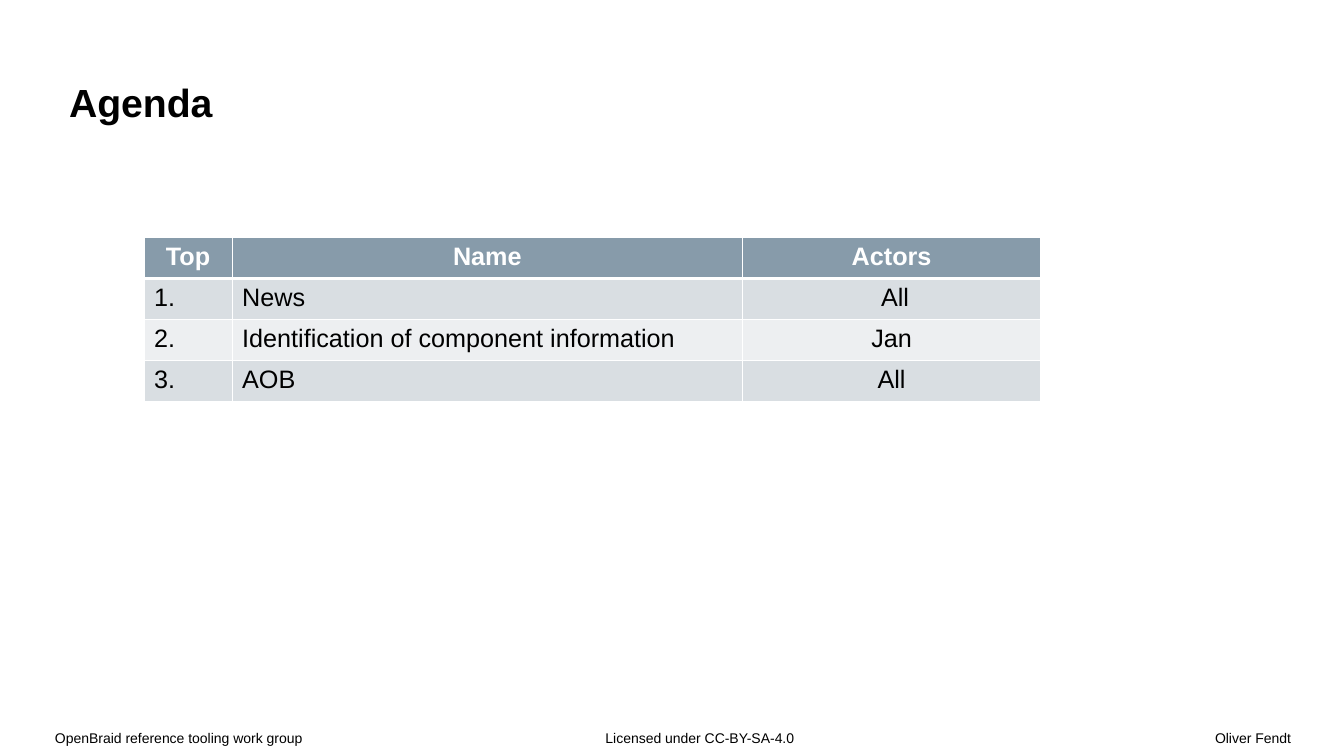
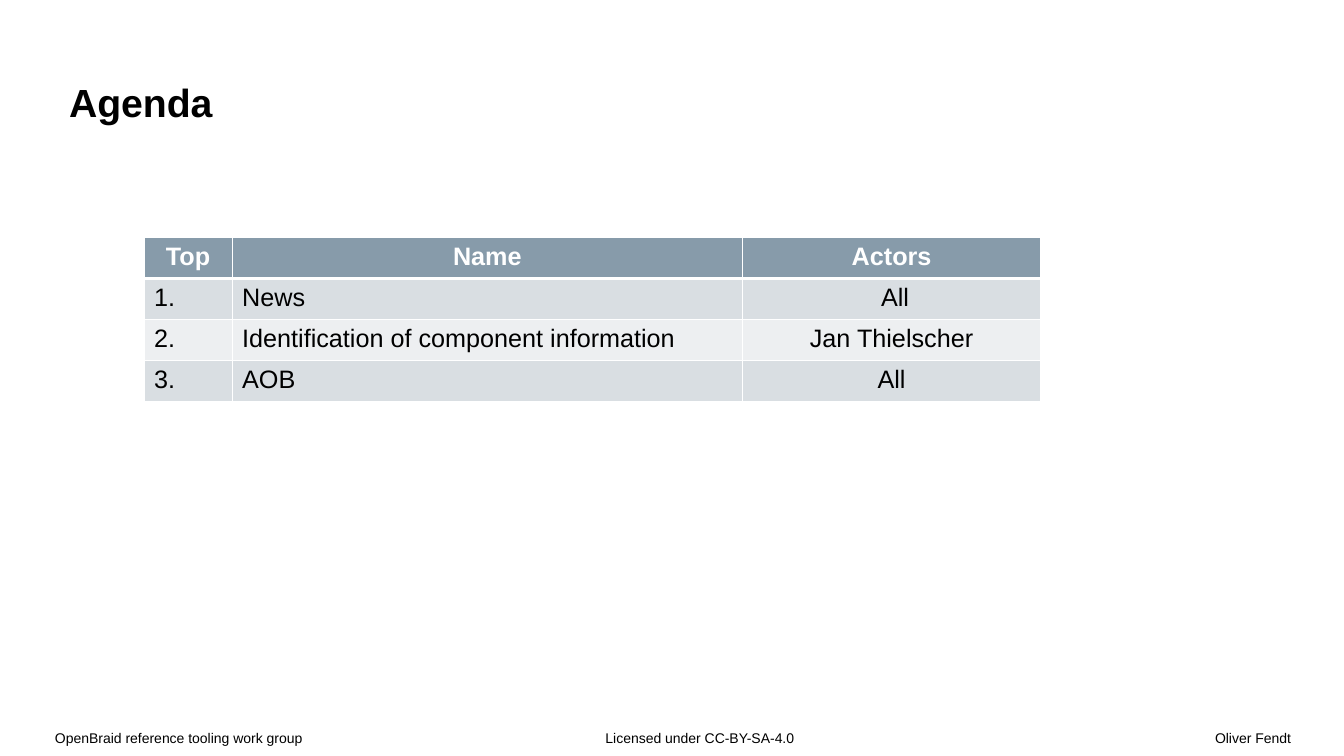
from dataclasses import dataclass

from lxml import etree
from pptx import Presentation, util as u
from pptx.dml.color import RGBColor
from pptx.enum import text as t
from pptx.oxml import ns

SCALE = 914400 / 100.7
LEFT, MID, RIGHT = t.PP_ALIGN.LEFT, t.PP_ALIGN.CENTER, t.PP_ALIGN.RIGHT
TOP, BASE = t.MSO_ANCHOR.TOP, t.MSO_ANCHOR.BOTTOM


@dataclass(frozen=True)
class Theme:
    font: str = "Arial"
    ink: str = "000000"
    paper: str = "FFFFFF"
    head: str = "879BAA"
    bands: tuple[str, str] = ("D9DEE2", "EDEFF1")
    title: int = 28
    body: int = 18
    foot: int = 10
    thin: int = 1
    thick: int = 3


@dataclass(frozen=True)
class Label:
    text: str
    box: tuple[int, int, int, int]
    inset: tuple[int, int, int, int]
    size: int
    bold: bool = False
    align: t.PP_ALIGN = LEFT
    anchor: t.MSO_ANCHOR = TOP
    lead: float = 1.0


@dataclass(frozen=True)
class Topic:
    name: str
    actor: str


THEME = Theme()
SIZE = (1343, 755)
TABLE = (144, 237)
COLS = (88, 510, 298)
ROW = 41
HEADS = ("Top", "Name", "Actors")
ALIGNS = (LEFT, LEFT, MID)

FRAME = (
    Label("OpenBraid reference tooling work group", (31, 727, 342, 28),
          (24, 0, 0, 13), THEME.foot, lead=1.1),
    Label("Licensed under CC-BY-SA-4.0", (536, 727, 303, 28),
          (69, 0, 0, 13), THEME.foot, lead=1.1),
    Label("Oliver Fendt", (417, 727, 926, 28),
          (0, 0, 53, 13), THEME.foot, align=RIGHT, lead=1.1),
    Label("Agenda", (0, 0, 1343, 140), (69, 43, 234, 26),
          THEME.title, bold=True, anchor=BASE),
)


def px(n: int) -> u.Emu:
    return u.Emu(round(n * SCALE))


def write(frame, text: str, *, size: int, color: str = THEME.ink,
          bold: bool = False, align: t.PP_ALIGN = LEFT,
          lead: float = 1.0) -> None:
    para = frame.paragraphs[0]
    para.alignment = align
    para.line_spacing = lead
    run = para.add_run()
    run.text = text
    font = run.font
    font.name, font.size, font.bold = THEME.font, u.Pt(size), bold
    font.color.rgb = RGBColor.from_string(color)


def place(slide, label: Label) -> None:
    frame = slide.shapes.add_textbox(*map(px, label.box)).text_frame
    frame.word_wrap = True
    frame.vertical_anchor = label.anchor
    (frame.margin_left, frame.margin_top,
     frame.margin_right, frame.margin_bottom) = map(px, label.inset)
    write(frame, label.text, size=label.size, bold=label.bold,
          align=label.align, lead=label.lead)


def edge(cell, side: str, width: int) -> None:
    props = cell._tc.get_or_add_tcPr()
    line = etree.SubElement(props, ns.qn(f"a:ln{side}"), w=str(u.Pt(width)))
    fill = etree.SubElement(line, ns.qn("a:solidFill"))
    etree.SubElement(fill, ns.qn("a:srgbClr"), val=THEME.paper)


def paint(cell, row: int) -> None:
    thick = {"B": 0, "T": 1}
    for side in "LRTB":
        wide = thick.get(side) == row
        edge(cell, side, THEME.thick if wide else THEME.thin)
    color = THEME.bands[(row - 1) % 2] if row else THEME.head
    cell.fill.solid()
    cell.fill.fore_color.rgb = RGBColor.from_string(color)


def tabulate(slide, topics: list[Topic]) -> None:
    rows = [HEADS] + [(f"{n}.", topic.name, topic.actor)
                      for n, topic in enumerate(topics, 1)]
    table = slide.shapes.add_table(
        len(rows), len(COLS), *map(px, TABLE),
        px(sum(COLS)), px(ROW * len(rows))).table
    table.horz_banding = False
    for col, width in zip(table.columns, COLS):
        col.width = px(width)
    for r, row in enumerate(rows):
        table.rows[r].height = px(ROW)
        for c, text in enumerate(row):
            cell = table.cell(r, c)
            paint(cell, r)
            write(cell.text_frame, text, size=THEME.body, bold=r == 0,
                  color=THEME.ink if r else THEME.paper,
                  align=ALIGNS[c] if r else MID)


def agenda(deck, guest: str) -> None:
    slide = deck.slides.add_slide(deck.slide_layouts[6])
    for label in FRAME:
        place(slide, label)
    tabulate(slide, [
        Topic("News", "\u00a0All"),
        Topic("Identification of component information", guest),
        Topic("AOB", "All"),
    ])


def main() -> None:
    deck = Presentation()
    deck.slide_width, deck.slide_height = map(px, SIZE)
    for guest in ("Jan", "Jan Thielscher"):
        agenda(deck, guest)
    deck.save("out.pptx")


main()
